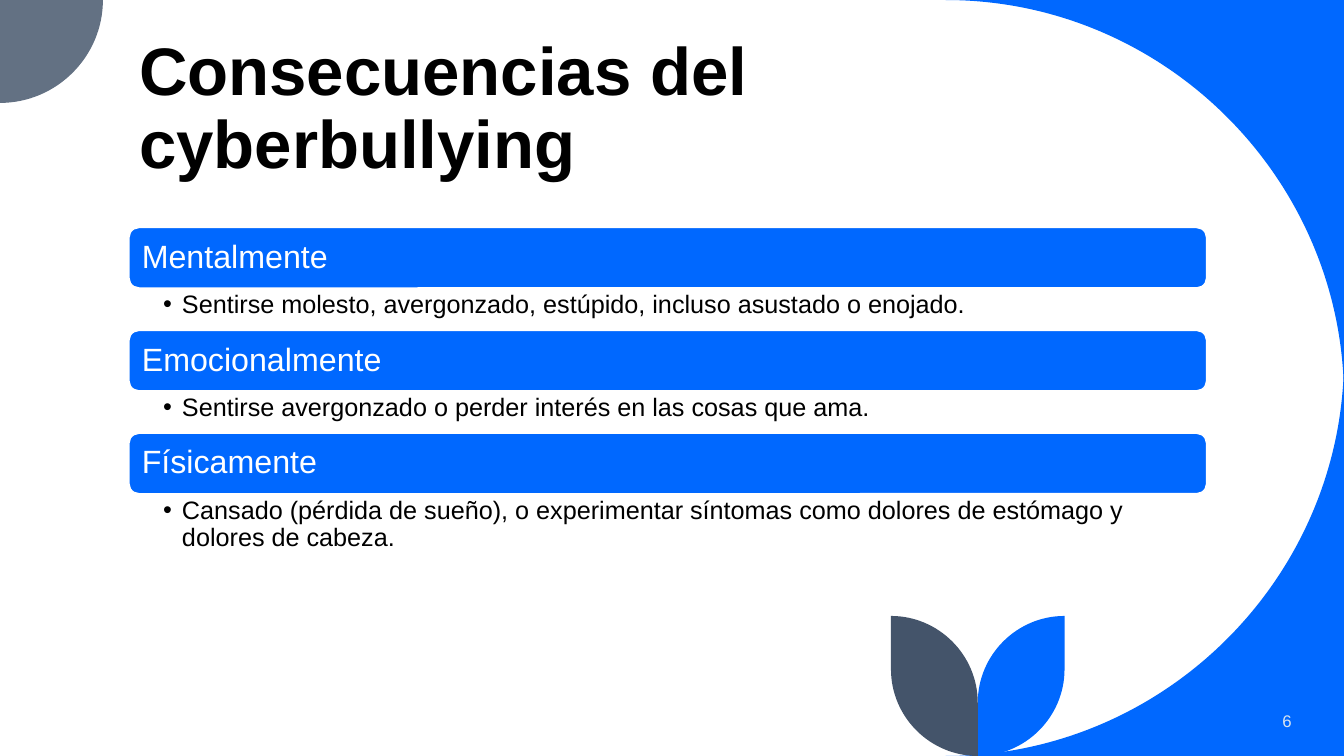
"""Build the slide on the consequences of cyberbullying."""
import pptx
import pptx.dml.color
import pptx.enum.shapes
import pptx.enum.text
import pptx.oxml
import pptx.oxml.ns
import pptx.util

Pt = pptx.util.Pt
ANCHOR = pptx.enum.text.MSO_ANCHOR
ALIGN = pptx.enum.text.PP_ALIGN
COLORS = {
    "blue": "0068FF",
    "slate": "44546A",
    "gray": "637183",
    "pale": "DAE5EF",
    "white": "FFFFFF",
    "black": "000000",
}
CONSEQUENCES = [
    ("Mentalmente", "Sentirse molesto, avergonzado, estúpido, incluso asustado o enojado.", 30.3),
    ("Emocionalmente", "Sentirse avergonzado o perder interés en las cosas que ama.", 30.3),
    ("Físicamente", "Cansado (pérdida de sueño), o experimentar síntomas como dolores "
     "de estómago y dolores de cabeza.", 67.5),
]
WIDTH, HEIGHT = 960, 540
LEFT, LIST_WIDTH = 92.1, 769.8
LIST_TOP, PITCH, BAR_HEIGHT = 162.5, 73.5, 43.2
CORNER_RADIUS, GRAY_RADIUS = 284.5, 73.5
STEM_X, LEAF_WIDTH, LEAF_HEIGHT = 698.4, 62, 100
ROUNDNESS = 0.55


def rgb(name):
    return pptx.dml.color.RGBColor.from_string(COLORS[name])


def apply_format(target, values):
    for name, value in values.items():
        setattr(target, name, value)


def write_text(shape, text, size, color, frame_format, paragraph_format, bold=False):
    frame = shape.text_frame
    apply_format(frame, {"word_wrap": True, "auto_size": pptx.enum.text.MSO_AUTO_SIZE.NONE,
                         **frame_format})
    paragraph = frame.paragraphs[0]
    apply_format(paragraph, paragraph_format)
    run = paragraph.add_run()
    run.text = text
    apply_format(run.font, {"name": "Arial", "size": Pt(size), "bold": bold})
    run.font.color.rgb = rgb(color)
    return paragraph


def add_bullet(paragraph, indent):
    properties = paragraph._p.get_or_add_pPr()
    properties.set("marL", str(Pt(indent)))
    properties.set("indent", str(-Pt(indent)))
    namespace = pptx.oxml.ns.nsdecls("a")
    properties.append(pptx.oxml.parse_xml(f'<a:buFont {namespace} typeface="Arial"/>'))
    properties.append(pptx.oxml.parse_xml(f'<a:buChar {namespace} char="•"/>'))


def quarter(start, bend, end):
    controls = [tuple(a + (b - a) * ROUNDNESS for a, b in zip(point, bend))
                for point in (start, end)]
    return [*controls, end]


def add_outline(slide, start, segments, color):
    builder = slide.shapes.build_freeform(Pt(start[0]), Pt(start[1]))
    builder.add_line_segments([(Pt(x), Pt(y)) for segment in segments for x, y in segment])
    shape = builder.convert_to_shape()
    lines = iter(list(shape._element.iter(pptx.oxml.ns.qn("a:lnTo"))))
    for segment in segments:
        first, *others = [next(lines) for _ in segment]
        if others:
            curve = pptx.oxml.parse_xml(f'<a:cubicBezTo {pptx.oxml.ns.nsdecls("a")}/>')
            first.addprevious(curve)
            for line in (first, *others):
                curve.append(line[0])
                line.getparent().remove(line)
    shape.shadow.inherit = False
    shape.fill.solid()
    shape.fill.fore_color.rgb = rgb(color)
    shape.line.fill.background()


def add_corner(slide, corner, start, bend, end, color):
    add_outline(slide, corner, [[start], quarter(start, bend, end), [corner]], color)


def add_leaf(slide, direction, color):
    top = HEIGHT - LEAF_HEIGHT
    tip_x = STEM_X + direction * LEAF_WIDTH
    tip, shoulder = (tip_x, top), (tip_x, HEIGHT - LEAF_WIDTH)
    base, notch = (STEM_X, HEIGHT), (STEM_X, top + LEAF_WIDTH)
    add_outline(slide, tip, [[shoulder], quarter(shoulder, (tip_x, HEIGHT), base),
                             [notch], quarter(notch, (STEM_X, top), tip)], color)


def add_decoration(slide):
    inner_x = WIDTH - CORNER_RADIUS
    for edge, inner_y in ((0, CORNER_RADIUS), (HEIGHT, HEIGHT - CORNER_RADIUS)):
        add_corner(slide, (WIDTH, edge), (inner_x, edge), (WIDTH - CORNER_RADIUS * 0, edge),
                   (WIDTH, inner_y), "blue")
    add_corner(slide, (0, 0), (GRAY_RADIUS, 0), (GRAY_RADIUS, GRAY_RADIUS),
               (0, GRAY_RADIUS), "gray")
    add_leaf(slide, 1, "blue")
    add_leaf(slide, -1, "slate")


def add_title(slide, text):
    title = slide.shapes.title
    apply_format(title, {"left": Pt(LEFT), "top": Pt(30), "width": Pt(LIST_WIDTH),
                         "height": Pt(104.2)})
    write_text(title, text, 48, "black", {"vertical_anchor": ANCHOR.BOTTOM},
               {"alignment": ALIGN.LEFT, "line_spacing": 0.9}, bold=True)


def add_bar(slide, top, text):
    bar = slide.shapes.add_shape(pptx.enum.shapes.MSO_SHAPE.ROUNDED_RECTANGLE,
                                 Pt(LEFT), Pt(top), Pt(LIST_WIDTH), Pt(BAR_HEIGHT))
    bar.shadow.inherit = False
    bar.fill.solid()
    bar.fill.fore_color.rgb = rgb("blue")
    bar.line.color.rgb = rgb("white")
    bar.line.width = Pt(1)
    write_text(bar, text, 23, "white", {"vertical_anchor": ANCHOR.MIDDLE},
               {"alignment": ALIGN.LEFT, "line_spacing": 0.9})


def add_description(slide, top, height, text):
    box = slide.shapes.add_textbox(Pt(LEFT), Pt(top), Pt(LIST_WIDTH), Pt(height))
    insets = {"margin_left": Pt(24.4), "margin_right": Pt(13),
              "margin_top": Pt(2.6), "margin_bottom": Pt(2.2)}
    paragraph = write_text(box, text, 18, "black", insets, {"level": 1, "line_spacing": 0.9})
    add_bullet(paragraph, 13.5)


def add_slide_number(slide, text):
    box = slide.shapes.add_textbox(Pt(799.3), Pt(500.5), Pt(130.5), Pt(28.8))
    write_text(box, text, 12, "pale", {"vertical_anchor": ANCHOR.MIDDLE},
               {"alignment": ALIGN.RIGHT})


def main():
    presentation = pptx.Presentation()
    apply_format(presentation, {"slide_width": Pt(WIDTH), "slide_height": Pt(HEIGHT)})
    slide = presentation.slides.add_slide(presentation.slide_layouts[5])
    add_decoration(slide)
    add_title(slide, "Consecuencias del cyberbullying")
    for index, (heading, description, height) in enumerate(CONSEQUENCES):
        top = LIST_TOP + index * PITCH
        add_bar(slide, top, heading)
        add_description(slide, top + BAR_HEIGHT, height, description)
    add_slide_number(slide, "6")
    presentation.save("out.pptx")


if __name__ == "__main__":
    main()
